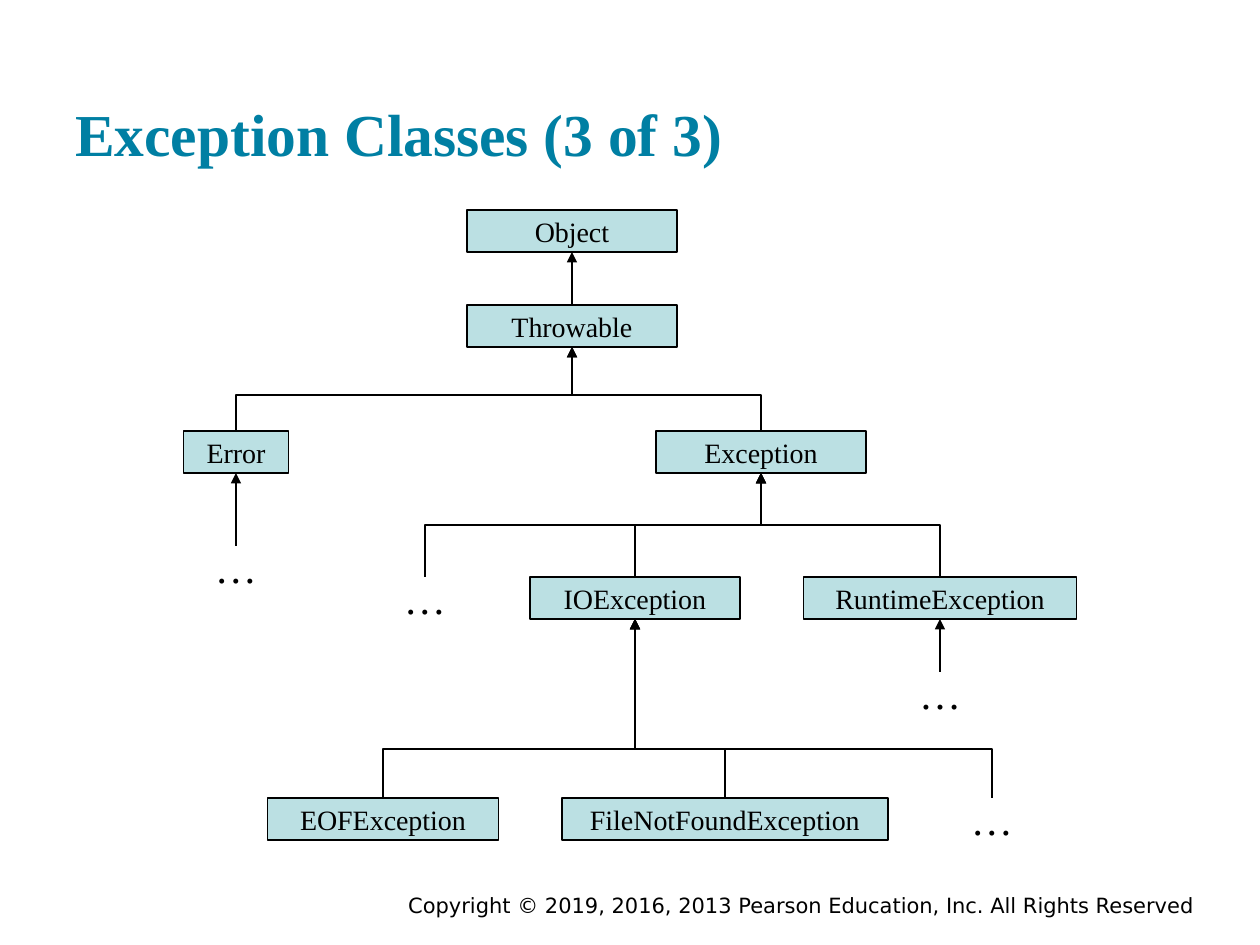
from lxml.etree import SubElement
from pptx import Presentation
from pptx.dml.color import RGBColor
from pptx.enum.shapes import MSO_CONNECTOR, MSO_SHAPE
from pptx.enum.text import MSO_ANCHOR, PP_ALIGN
from pptx.oxml.ns import qn
from pptx.util import Emu, Inches, Pt

SERIF = "Times New Roman"
BOX_H = 42


def px(n):
    return Emu(round(n * 914400 / 126))


def write(sp, text, size, font=SERIF, color="000000", bold=False,
          align=PP_ALIGN.LEFT, anchor=MSO_ANCHOR.TOP, wrap=True):
    tf = sp.text_frame
    tf.word_wrap = wrap
    tf.vertical_anchor = anchor
    p = tf.paragraphs[0]
    p.alignment = align
    r = p.add_run()
    r.text = text
    r.font.name = font
    r.font.size = Pt(size)
    r.font.bold = bold
    r.font.color.rgb = RGBColor.from_string(color)


prs = Presentation()
prs.slide_width, prs.slide_height = Inches(10), Inches(7.5)
s = prs.slides.add_slide(prs.slide_layouts[6])

sp = s.shapes.add_textbox(px(221), px(886), px(986), px(28))
write(sp, "Copyright © 2019, 2016, 2013 Pearson Education, Inc. All Rights Reserved",
      12, font="DejaVu Sans", align=PP_ALIGN.RIGHT)

sp = s.shapes.add_textbox(px(63), px(30), px(1134), px(151))
sp.text_frame.margin_top = sp.text_frame.margin_bottom = Inches(0.1)
write(sp, "Exception Classes (3 of 3)", 34, color="007FA3", bold=True,
      anchor=MSO_ANCHOR.BOTTOM)

classes = {
    "Object": (572, 210, 210),
    "Throwable": (572, 305, 210),
    "Exception": (761, 431, 210),
    "Error": (236, 431, 105),
    "RuntimeException": (940, 577, 273),
    "IOException": (635, 577, 210),
    "FileNotFoundException": (725, 798, 326),
    "EOFException": (383, 798, 231),
}
others = {
    "other Error": (236, 546, 84),
    "other RuntimeException": (940, 672, 84),
    "other IOException": (992, 798, 84),
    "other Exception": (425, 577, 84),
}
nodes = classes | others
shapes = {}
for name, (cx, top, w) in nodes.items():
    frame = px(cx - w / 2), px(top), px(w), px(BOX_H)
    if name in classes:
        sp = s.shapes.add_shape(MSO_SHAPE.RECTANGLE, *frame)
        sp.shadow.inherit = False
        sp.fill.solid()
        sp.fill.fore_color.rgb = RGBColor.from_string("BBE0E3")
        sp.line.color.rgb = RGBColor.from_string("000000")
        sp.line.width = Pt(0.75)
        text, size = name, 16
    else:
        sp = s.shapes.add_textbox(*frame)
        text, size = "…", 24
    write(sp, text, size, align=PP_ALIGN.CENTER, anchor=MSO_ANCHOR.MIDDLE, wrap=False)
    shapes[name] = sp

children = {
    "Object": (None, ["Throwable"]),
    "Throwable": (395, ["Error", "Exception"]),
    "Error": (None, ["other Error"]),
    "RuntimeException": (None, ["other RuntimeException"]),
    "IOException": (749, ["other IOException", "FileNotFoundException", "EOFException"]),
    "Exception": (525, ["other Exception", "IOException", "RuntimeException"]),
}
for parent, (bend, names) in children.items():
    x2, y2 = nodes[parent][0], nodes[parent][1] + BOX_H
    for name in names:
        x1, y1 = nodes[name][:2]
        if bend is None:
            c = s.shapes.add_connector(MSO_CONNECTOR.STRAIGHT, px(x1), px(y1), px(x2), px(y2))
            c.begin_connect(shapes[name], 0)
            c.end_connect(shapes[parent], 2)
        else:
            mx, my = (x1 + x2) / 2, (y1 + y2) / 2
            dx, dy = (x2 - x1) / 2, (y1 - y2) / 2
            side = dy if dx > 0 else -dy
            c = s.shapes.add_connector(MSO_CONNECTOR.ELBOW, px(mx + side), px(my + abs(dx)),
                                       px(mx - side), px(my - abs(dx)))
            spPr = c._element.spPr
            spPr.find(qn("a:xfrm")).set("rot", "5400000" if dx > 0 else "16200000")
            adj = round((y1 - bend) / (y1 - y2) * 100000)
            SubElement(spPr.find(qn("a:prstGeom")).find(qn("a:avLst")), qn("a:gd"),
                       name="adj1", fmla=f"val {adj}")
        c.line.color.rgb = RGBColor.from_string("000000")
        c.line.width = Pt(0.75)
        SubElement(c.line._get_or_add_ln(), qn("a:tailEnd"), type="triangle")
        SubElement(c._element.spPr, qn("a:effectLst"))

prs.save("out.pptx")
